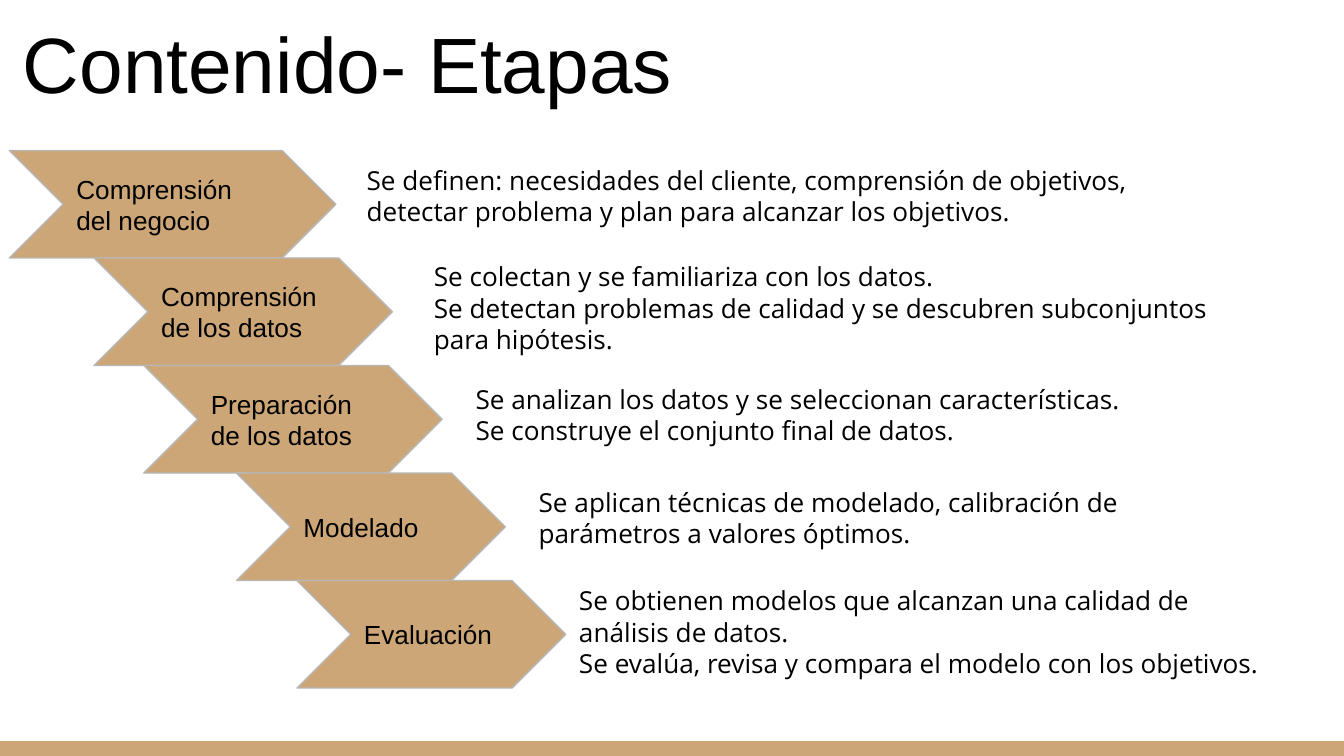
from dataclasses import dataclass

from pptx import Presentation
from pptx.dml.color import RGBColor
from pptx.enum import shapes, text
from pptx.util import Inches, Pt

TAN = RGBColor(0xCC, 0xA6, 0x77)
GRAY = RGBColor(0xB7, 0xB7, 0xB7)
BLACK = RGBColor(0, 0, 0)
WIDTH = 10
HEIGHT = WIDTH * 9 / 16
FIRST_ROW, ROW_HEIGHT = 1.12, 0.8
NOTE_HEIGHT = 0.74
BAR_HEIGHT = 0.11
INSET = 0.1


@dataclass(frozen=True)
class Stage:
    """One step: chevron and note, placed in inches; note_shift is from the row top."""
    name: str
    left: float
    width: float
    note_left: float
    note_width: float
    note_shift: float
    notes: tuple[str, ...]


STAGES = (
    Stage("Comprensión del negocio", 0.07, 2.43, 2.63, 6.33, 0, (
        "Se definen: necesidades del cliente, comprensión de objetivos, "
        "detectar problema y plan para alcanzar los objetivos.",)),
    Stage("Comprensión de los datos", 0.7, 2.22, 3.13, 6.16, -0.08, (
        "Se colectan y se familiariza con los datos.",
        "Se detectan problemas de calidad y se descubren subconjuntos "
        "para hipótesis.")),
    Stage("Preparación de los datos", 1.07, 2.22, 3.44, 5.23, 0.03, (
        "Se analizan los datos y se seleccionan características.",
        "Se construye el conjunto final de datos.")),
    Stage("Modelado", 1.76, 2, 3.91, 5.23, 0, (
        "Se aplican técnicas de modelado, calibración de parámetros "
        "a valores óptimos.",)),
    Stage("Evaluación", 2.21, 2, 4.21, 5.37, -0.07, (
        "Se obtienen modelos que alcanzan una calidad de análisis de datos.",
        "Se evalúa, revisa y compara el modelo con los objetivos.")),
)


def write(shape, lines: tuple[str, ...], font: str, size: float, anchor) -> None:
    frame = shape.text_frame
    frame.word_wrap = True
    frame.auto_size = text.MSO_AUTO_SIZE.NONE
    frame.vertical_anchor = anchor
    frame.margin_left = frame.margin_right = Inches(INSET)
    frame.margin_top = frame.margin_bottom = Inches(INSET)
    for index, line in enumerate(lines):
        paragraph = frame.add_paragraph() if index else frame.paragraphs[0]
        paragraph.alignment = text.PP_ALIGN.LEFT
        run = paragraph.add_run()
        run.text = line
        run.font.name = font
        run.font.size = Pt(size)
        run.font.color.rgb = BLACK


def add_filled(slide, kind, left: float, top: float, width: float, height: float):
    shape = slide.shapes.add_shape(
        kind, Inches(left), Inches(top), Inches(width), Inches(height))
    shape.shadow.inherit = False
    shape.fill.solid()
    shape.fill.fore_color.rgb = TAN
    shape.line.fill.background()
    return shape


def add_chevron(slide, stage: Stage, top: float) -> None:
    chevron = add_filled(slide, shapes.MSO_SHAPE.CHEVRON,
                         stage.left, top, stage.width, ROW_HEIGHT)
    chevron.adjustments[0] = 0.5
    chevron.line.color.rgb = GRAY
    chevron.line.width = Pt(0.75)
    write(chevron, (stage.name,), "Arial", 14, text.MSO_ANCHOR.MIDDLE)


def add_note(slide, stage: Stage, top: float) -> None:
    box = slide.shapes.add_textbox(
        Inches(stage.note_left), Inches(top + stage.note_shift),
        Inches(stage.note_width), Inches(NOTE_HEIGHT))
    write(box, stage.notes, "Open Sans", 14, text.MSO_ANCHOR.TOP)


def add_title(slide, title: str) -> None:
    shape = slide.shapes.title
    shape.left, shape.top = Inches(0.07), Inches(0)
    shape.width, shape.height = Inches(9.32), Inches(0.91)
    write(shape, (title,), "Arial", 42, text.MSO_ANCHOR.BOTTOM)


def main() -> None:
    presentation = Presentation()
    presentation.slide_width = Inches(WIDTH)
    presentation.slide_height = Inches(HEIGHT)
    slide = presentation.slides.add_slide(presentation.slide_layouts[5])

    add_filled(slide, shapes.MSO_SHAPE.RECTANGLE,
               0, HEIGHT - BAR_HEIGHT, WIDTH, BAR_HEIGHT)
    add_title(slide, "Contenido- Etapas")
    for add_part in (add_chevron, add_note):
        for row, stage in enumerate(STAGES):
            add_part(slide, stage, FIRST_ROW + row * ROW_HEIGHT)
    presentation.save("out.pptx")


if __name__ == "__main__":
    main()
